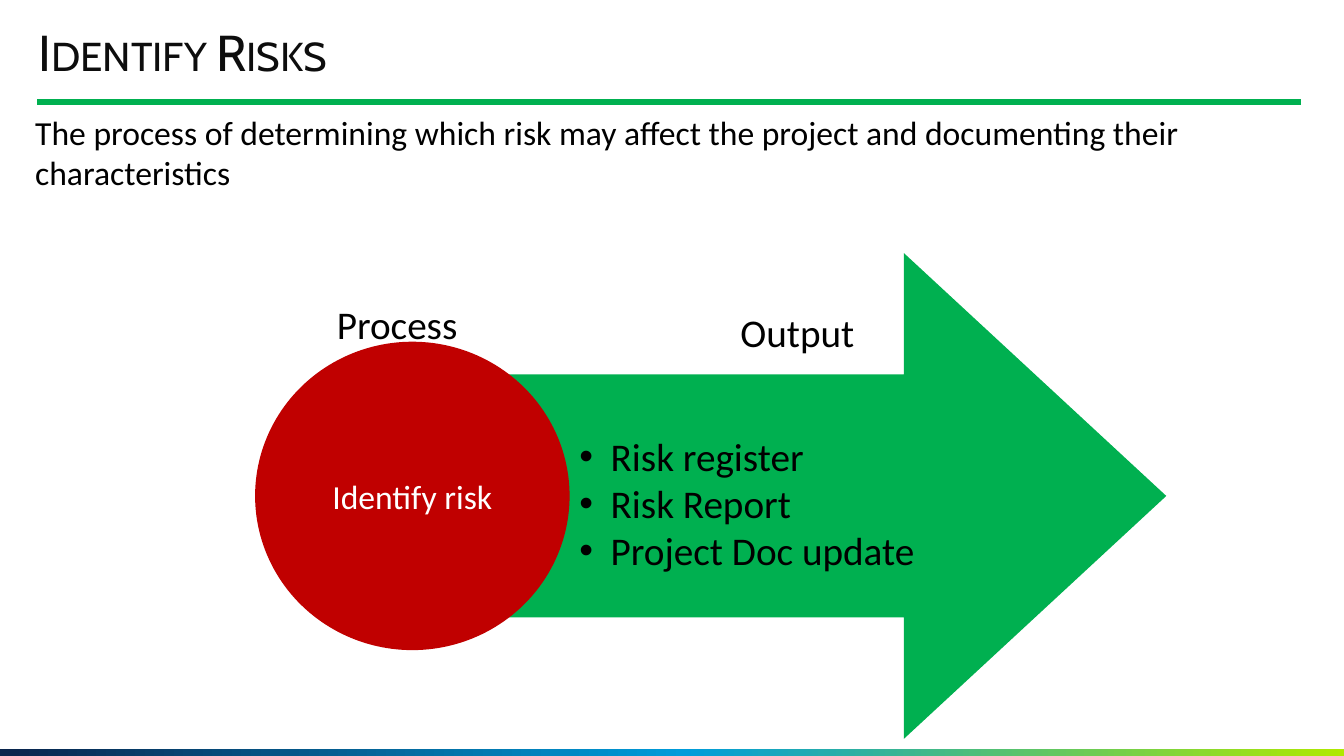
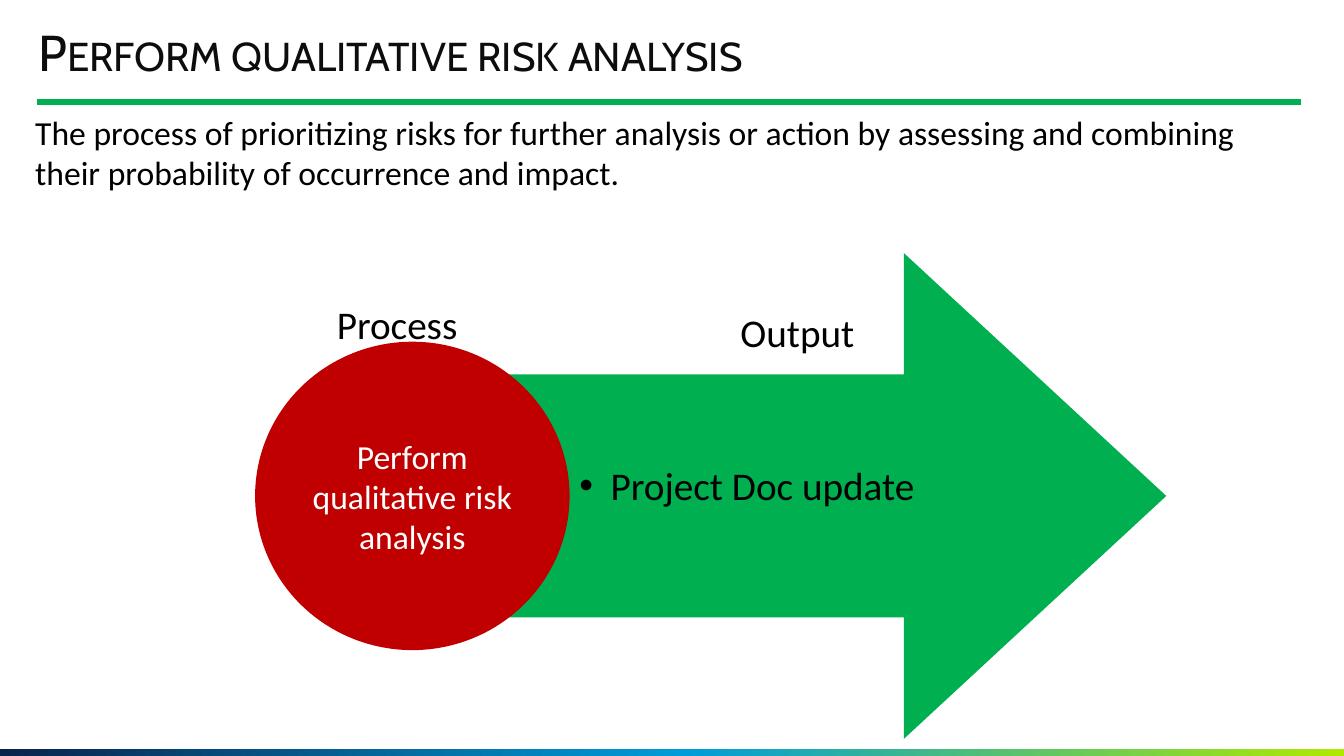
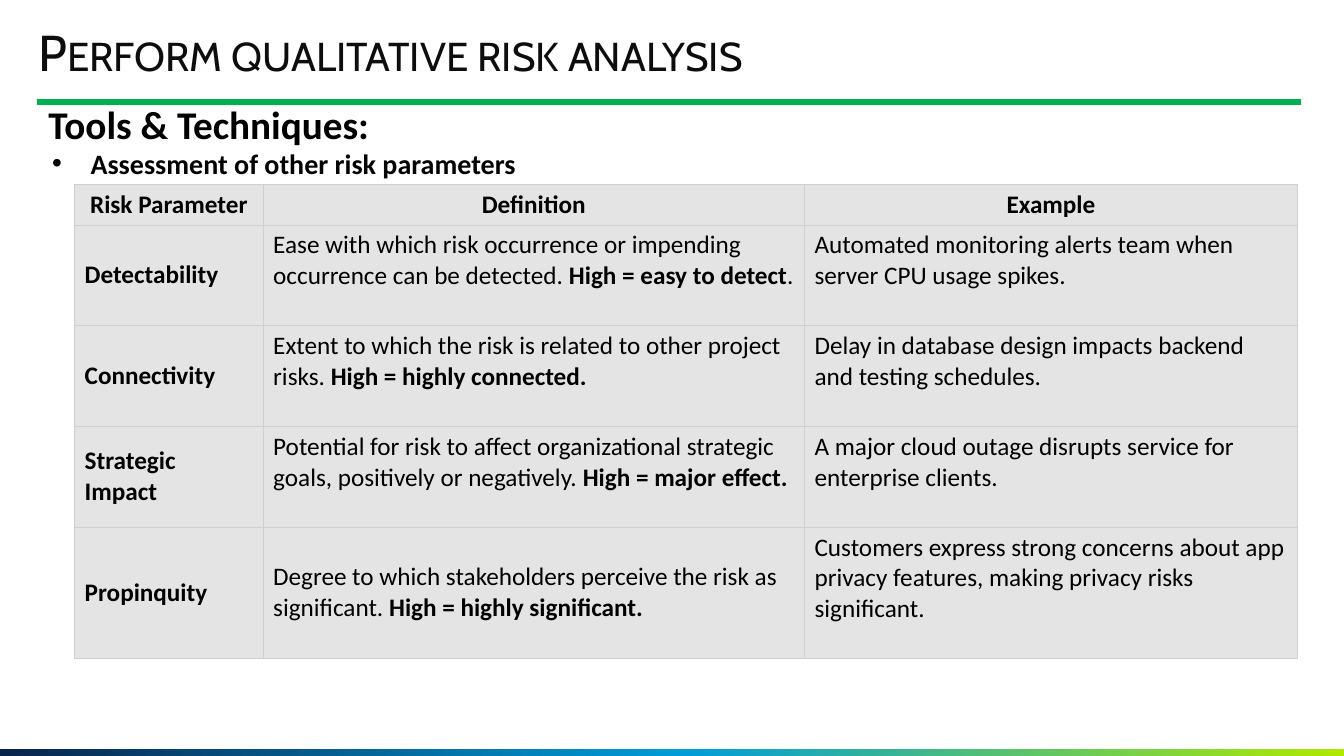
from lxml.etree import SubElement
from pptx import Presentation
from pptx.dml.color import RGBColor
from pptx.enum.shapes import MSO_CONNECTOR, MSO_SHAPE
from pptx.enum.text import MSO_ANCHOR, MSO_AUTO_SIZE, PP_ALIGN
from pptx.oxml import parse_xml
from pptx.oxml.ns import nsdecls, qn
from pptx.util import Inches, Pt

COLORS = {
    "black": "000000",
    "white": "FFFFFF",
    "title": "0D0D0D",
    "green": "00B050",
    "red": "C00000",
    "navy": "09244C",
    "blue": "009CDA",
    "lime": "B0E900",
    "cell": "E4E4E4",
    "border": "D0CECE",
}
RGB = {name: RGBColor.from_string(value) for name, value in COLORS.items()}

presentation = Presentation()
presentation.slide_width = Inches(13.33)
presentation.slide_height = Inches(7.5)
column = presentation.slide_width / 100
row = presentation.slide_height / 100


def box(left, top, width, height):
    return [round(left * column), round(top * row), round(width * column), round(height * row)]


def write(paragraph, runs, size, color="black", bold=False, font="Calibri", align=PP_ALIGN.LEFT, bullet=0):
    properties = paragraph._p.get_or_add_pPr()
    if bullet:
        properties.set("marL", str(Inches(bullet)))
        properties.set("indent", str(-Inches(bullet)))
        SubElement(properties, qn("a:buFont")).set("typeface", "Arial")
        SubElement(properties, qn("a:buChar")).set("char", "•")
    paragraph.alignment = align
    paragraph.font.name = font
    paragraph.font.size = Pt(size)
    paragraph.font.bold = bold
    paragraph.font.color.rgb = RGB[color]
    for index, text in enumerate(runs):
        run = paragraph.add_run()
        run.text = text
        if index % 2:
            run.font.bold = True


title_only = presentation.slide_layouts[5]
title_and_body = presentation.slide_layouts[1]
titles = ["Identify Risks", "Perform qualitative risk analysis", "Perform qualitative risk analysis"]
slides = []
for text, layout in zip(titles, [title_only, title_only, title_and_body]):
    slide = presentation.slides.add_slide(layout)
    slides.append(slide)
    title = slide.shapes.title
    title.left, title.top, title.width, title.height = box(2.85, 3.6, 83.93, 7.33)
    frame = title.text_frame
    frame.margin_left = frame.margin_top = frame.margin_right = frame.margin_bottom = 0
    frame.vertical_anchor = MSO_ANCHOR.MIDDLE
    frame.auto_size = MSO_AUTO_SIZE.NONE
    paragraph = frame.paragraphs[0]
    paragraph.line_spacing = 0.9
    write(paragraph, [text], 36, "title", font="Cabin")
    paragraph._p.pPr.find(qn("a:defRPr")).set("cap", "small")

band = slides[0].shapes.add_shape(MSO_SHAPE.RECTANGLE, *box(0, 99.07, 100, 0.93))
band.shadow.inherit = False
band.line.fill.background()
band.fill.gradient()
band.fill.gradient_angle = 0
stops = band.element.spPr.find(".//" + qn("a:gsLst"))
stops.clear()
for position, name in [(0, "navy"), (51, "blue"), (100, "lime")]:
    stop = SubElement(stops, qn("a:gs"))
    stop.set("pos", str(position * 1000))
    SubElement(stop, qn("a:srgbClr")).set("val", COLORS[name])

left, top, width, height = box(2.78, 13.47, 94.05, 0)
rule = slides[0].shapes.add_connector(MSO_CONNECTOR.STRAIGHT, left, top, left + width, top)
rule.line.color.rgb = RGB["green"]
rule.line.width = Pt(4.5)
SubElement(rule.element.spPr, qn("a:effectLst"))

for number, shape in enumerate([band, rule], 20):
    shape.element.xpath(".//p:cNvPr")[0].set("id", str(number))
    presentation.slide_master.shapes.element.append(shape.element)

processes = [
    (
        "The process of determining which risk may affect the project and documenting their characteristics",
        "Identify risk",
        ["Risk register", "Risk Report", "Project Doc update"],
        56.53,
    ),
    (
        "The process of prioritizing risks for further analysis or action by assessing and combining "
        "their probability of occurrence and impact.",
        "Perform qualitative risk analysis",
        ["Project Doc update"],
        60.4,
    ),
]
for slide, (description, process, outputs, list_top) in zip(slides, processes):
    description_box = slide.shapes.add_textbox(*box(1.88, 14.13, 93.75, 12.13))
    description_box.text_frame.word_wrap = True
    write(description_box.text_frame.paragraphs[0], [description], 24)

    diagram = slide.shapes.add_group_shape()
    arrow = diagram.shapes.add_shape(MSO_SHAPE.RIGHT_ARROW, *box(36.08, 33.47, 50.7, 64.27))
    arrow.adjustments[0] = 0.5
    arrow.adjustments[1] = 0.54
    circle = diagram.shapes.add_shape(MSO_SHAPE.OVAL, *box(18.98, 45.2, 23.4, 40.8))
    for shape, color in [(arrow, "green"), (circle, "red")]:
        shape.shadow.inherit = False
        shape.fill.solid()
        shape.fill.fore_color.rgb = RGB[color]
        shape.line.fill.background()
    circle.text_frame.word_wrap = True
    circle.text_frame.vertical_anchor = MSO_ANCHOR.MIDDLE
    write(circle.text_frame.paragraphs[0], [process], 24, "white", align=PP_ALIGN.CENTER)

    for label, left, top in [("Process", 23.1, 39.07), ("Output", 52.88, 40.13)]:
        label_box = diagram.shapes.add_textbox(*box(left, top, 12.9, 7.6))
        label_box.text_frame.word_wrap = True
        write(label_box.text_frame.paragraphs[0], [label], 28, align=PP_ALIGN.CENTER)

    output_box = diagram.shapes.add_textbox(*box(42.38, list_top, 41.85, 1.33 + 6.27 * len(outputs)))
    frame = output_box.text_frame
    frame.word_wrap = True
    for index, output in enumerate(outputs):
        paragraph = frame.add_paragraph() if index else frame.paragraphs[0]
        write(paragraph, [output], 28, bullet=0.31)

slide = slides[2]
body = slide.placeholders[1]
body.left, body.top, body.width, body.height = box(2.85, 13.33, 93.98, 7.33)
body.text_frame.auto_size = MSO_AUTO_SIZE.NONE
heading = body.text_frame.paragraphs[0]
properties = heading._p.get_or_add_pPr()
properties.set("marL", "0")
properties.set("indent", "0")
heading.line_spacing = 0.9
heading.space_before = Pt(0)
SubElement(properties, qn("a:buNone"))
write(heading, ["Tools & Techniques:"], 28, bold=True)

technique_box = slide.shapes.add_textbox(*box(3.15, 18.67, 90.98, 5.87))
technique_box.text_frame.word_wrap = True
write(technique_box.text_frame.paragraphs[0], ["Assessment of other risk parameters"], 20, bold=True, bullet=0.38)

parameters = [
    (["Risk Parameter"], ["Definition"], ["Example"]),
    (
        ["Detectability"],
        ["Ease with which risk occurrence or impending occurrence can be detected. ", "High = easy to detect", "."],
        ["Automated monitoring alerts team when server CPU usage spikes."],
    ),
    (
        ["Connectivity"],
        ["Extent to which the risk is related to other project risks. ", "High = highly connected."],
        ["Delay in database design impacts backend and testing schedules."],
    ),
    (
        ["Strategic Impact"],
        [
            "Potential for risk to affect organizational strategic goals, positively or negatively. ",
            "High = major effect.",
        ],
        ["A major cloud outage disrupts service for enterprise clients."],
    ),
    (
        ["Propinquity"],
        ["Degree to which stakeholders perceive the risk as significant. ", "High = highly significant."],
        ["Customers express strong concerns about app privacy features, making privacy risks significant."],
    ),
]
widths = [14.03, 40.28, 36.68]
heights = [5.33, 13.33, 13.33, 13.33, 17.33]
table = slide.shapes.add_table(5, 3, *box(5.55, 24.4, sum(widths), sum(heights))).table
table.first_row = False
table.horz_banding = False
for table_column, width in zip(table.columns, widths):
    table_column.width = round(width * column)
for table_row, height in zip(table.rows, heights):
    table_row.height = round(height * row)
for row_index, cells in enumerate(parameters):
    for column_index, runs in enumerate(cells):
        cell = table.cell(row_index, column_index)
        header = row_index == 0
        centred = header or column_index == 0 or (row_index, column_index) == (4, 1)
        cell.vertical_anchor = MSO_ANCHOR.MIDDLE if centred else MSO_ANCHOR.TOP
        cell.fill.solid()
        cell.fill.fore_color.rgb = RGB["cell"]
        for index, side in enumerate(["lnL", "lnR", "lnT", "lnB"]):
            border = parse_xml(
                f'<a:{side} {nsdecls("a")} w="{Pt(0.5)}"><a:solidFill>'
                f'<a:srgbClr val="{COLORS["border"]}"/></a:solidFill></a:{side}>'
            )
            cell._tc.get_or_add_tcPr().insert(index, border)
        write(
            cell.text_frame.paragraphs[0],
            runs,
            18,
            bold=header or column_index == 0,
            align=PP_ALIGN.CENTER if header else PP_ALIGN.LEFT,
        )

presentation.save("out.pptx")
